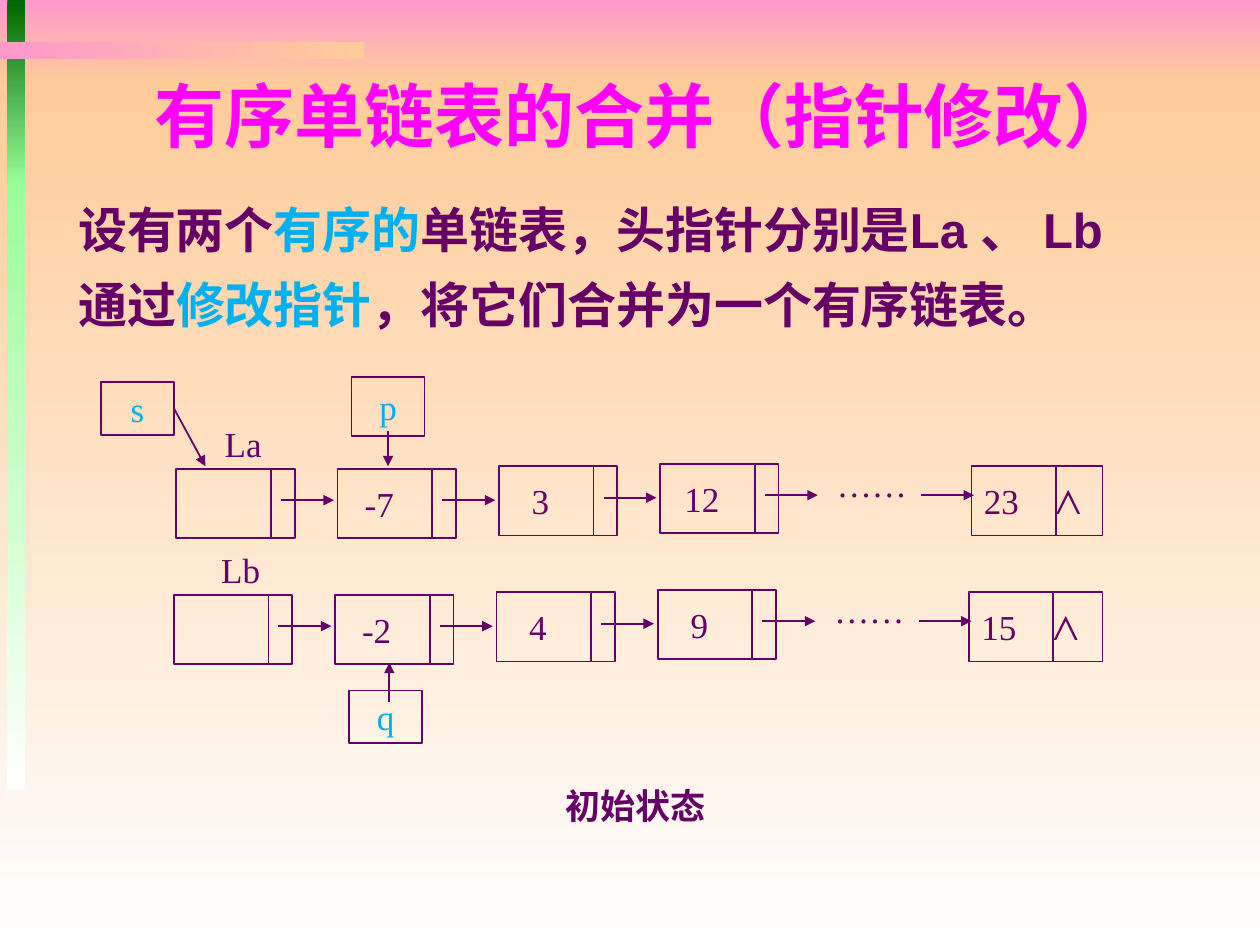
from lxml import etree
from pptx import Presentation
from pptx import util as u
from pptx.dml.color import RGBColor
from pptx.enum import shapes, text
from pptx.oxml.ns import qn

PLUM, CYAN, MAGENTA = "660066", "00B0F0", "FF00FF"
PINK, PEACH, WHITE = "FF99CC", "FFCC99", "FFFFFF"
DARK_GREEN, GREEN = "006600", "99FF99"
CJK, LATIN, SERIF = "Noto Sans CJK SC", "Arial", "Times New Roman"
COLS, ROWS = 100, 75  # layout grid over the slide
LEFT, CENTER = text.PP_ALIGN.LEFT, text.PP_ALIGN.CENTER


def rgb(value):
    return RGBColor.from_string(value)


class Board:
    """Holds the style and the slide; lengths are grid columns and rows."""

    def __init__(self, prs):
        self.s = prs.slides.add_slide(prs.slide_layouts[6])
        self.col, self.row = prs.slide_width / COLS, prs.slide_height / ROWS

    def at(self, x, y):
        return round(x * self.col), round(y * self.row)

    def style(self, font, name, size, color, bold=False):
        font.name, font.size, font.bold = name, u.Pt(size), bold
        font.color.rgb = rgb(color)
        etree.SubElement(font._element, qn("a:ea"), typeface=name)

    def rect(self, x, y, w, h):
        sp = self.s.shapes.add_shape(shapes.MSO_SHAPE.RECTANGLE,
                                     *self.at(x, y), *self.at(w, h))
        sp.shadow.inherit = False
        return sp

    def band(self, x, y, w, h, start, end, angle=270):
        sp = self.rect(x, y, w, h)
        sp.line.fill.background()
        sp.fill.gradient()
        sp.fill.gradient_angle = angle
        for stop, color in zip(sp.fill.gradient_stops, (start, end)):
            stop.color.rgb = rgb(color)

    def box(self, x, y, w, h):
        sp = self.rect(x, y, w, h)
        sp.fill.background()
        sp.line.color.rgb, sp.line.width = rgb(PLUM), u.Pt(1)
        return sp

    def text_area(self, x, y, w, h):
        return self.s.shapes.add_textbox(*self.at(x, y), *self.at(w, h))

    def label(self, sp, words, color=PLUM, name=SERIF, size=20, bold=False,
              align=CENTER, left=0, right=0, middle=True):
        tf = sp.text_frame
        tf.word_wrap = True
        tf.margin_left, tf.margin_right = self.at(left, 0)[0], self.at(right, 0)[0]
        tf.vertical_anchor = text.MSO_ANCHOR.MIDDLE if middle else text.MSO_ANCHOR.TOP
        p = tf.paragraphs[0]
        p.text, p.alignment = words, align
        self.style(p.font, name, size, color, bold)
        return p

    def rich(self, p, runs, size):
        for words, color, name in runs:
            r = p.add_run()
            r.text = words
            self.style(r.font, name, size, color, True)
        p.line_spacing, p.space_before = 1.1, u.Pt(size * 0.2)

    def line(self, x1, y1, x2, y2, arrow=False):
        c = self.s.shapes.add_connector(shapes.MSO_CONNECTOR.STRAIGHT,
                                        *self.at(x1, y1), *self.at(x2, y2))
        c.line.color.rgb, c.line.width = rgb(PLUM), u.Pt(1)
        if arrow:
            etree.SubElement(c.line._get_or_add_ln(), qn("a:tailEnd"), type="triangle")
        etree.SubElement(c._element.spPr, qn("a:effectLst"))
        return c

    def node(self, x, y, value):
        sp = self.box(x, y, 9.4, 5.5)
        if value:
            self.label(sp, value, right=2.8)
        self.line(x + 7.5, y, x + 7.5, y + 5.5)
        self.line(x + 8.3, y + 2.5, x + 12.5, y + 2.5, arrow=True)

    def last_node(self, x, y, value):
        sp = self.box(x, y, 87.5 - x, 5.5)
        p = self.label(sp, f"{value}\t⋀", align=LEFT, left=1)
        tabs = etree.Element(qn("a:tabLst"))
        etree.SubElement(tabs, qn("a:tab"), pos=str(self.at(5.7, 0)[0]), algn="l")
        p._p.get_or_add_pPr().insert_element_before(tabs, "a:defRPr")
        self.line(x + 6.7, y, x + 6.7, y + 5.5)

    def linked_list(self, x, y, name, values):
        """Head node, three data nodes, an ellipsis and the final node."""
        self.label(self.text_area(x + 0.7, y - 4.5, 9.2, 5), name)
        for i, (value, rise) in enumerate(zip(("", *values), (0, 0, 0.2, 0.4))):
            self.node(x + 12.8 * i, y - rise, value)
        self.label(self.text_area(x + 51.2, y - 1.6, 9.4, 5.5), "……", right=1.4)
        self.line(x + 59.1, y + 2.1, x + 63.3, y + 2.1, arrow=True)
        self.last_node(x + 63.1, y - 0.2, values[-1])

    def pointer(self, x, y, h, name):
        sp = self.box(x, y, 5.8, h)
        self.label(sp, name, CYAN)
        return sp


def main():
    prs = Presentation()
    prs.slide_width, prs.slide_height = u.Inches(10), u.Inches(7.5)
    b = Board(prs)

    # Background and corner bands
    b.band(0, 0, COLS, 6.7, PINK, PEACH)
    b.band(0, 6.7, COLS, ROWS - 6.7, PEACH, WHITE)
    b.band(0.6, 0, 1.4, 14.8, DARK_GREEN, GREEN)
    b.band(0.6, 14.6, 1.4, 48.1, GREEN, WHITE)
    b.band(0, 3.3, 28.9, 1.4, PINK, PEACH, angle=0)

    # Title
    title = b.label(b.text_area(11.3, 4.6, 81.8, 7.5), "有序单链表的合并（指针修改）",
                    MAGENTA, CJK, 40, True, LEFT, left=1, middle=False)
    title.line_spacing = 1.1

    # Problem statement
    tf = b.text_area(1.7, 14.9, 95.8, 13.2).text_frame
    tf.word_wrap = True
    tf.margin_left = b.at(4.5, 0)[0]
    b.rich(tf.paragraphs[0], [("设有两个", PLUM, CJK), ("有序的", CYAN, CJK),
                              ("单链表，头指针分别是", PLUM, CJK),
                              ("La 、 Lb", PLUM, LATIN)], 28)
    b.rich(tf.add_paragraph(), [("通过", PLUM, CJK), ("修改指针", CYAN, CJK),
                                ("，将它们合并为一个有序链表。", PLUM, CJK)], 28)

    # The two sorted lists
    b.linked_list(14, 37.2, "La", ("-7", "3", "12", "23"))
    b.linked_list(13.8, 47.2, "Lb", ("-2", "4", "9", "15"))

    # Working pointers
    start = b.pointer(8, 30.3, 4.2, "s")
    b.line(13.8, 32.4, 16.3, 37, arrow=True).begin_connect(start, 3)
    b.pointer(27.9, 29.9, 4.7, "p")
    b.line(30.8, 34.2, 30.8, 37, arrow=True)
    b.pointer(27.7, 54.8, 4.2, "q")
    b.line(30.9, 55.7, 30.9, 52.6, arrow=True)

    # Caption
    b.label(b.text_area(19.7, 61.5, 61.5, 4.9), "初始状态", name=CJK, bold=True)

    prs.save("out.pptx")


if __name__ == "__main__":
    main()
